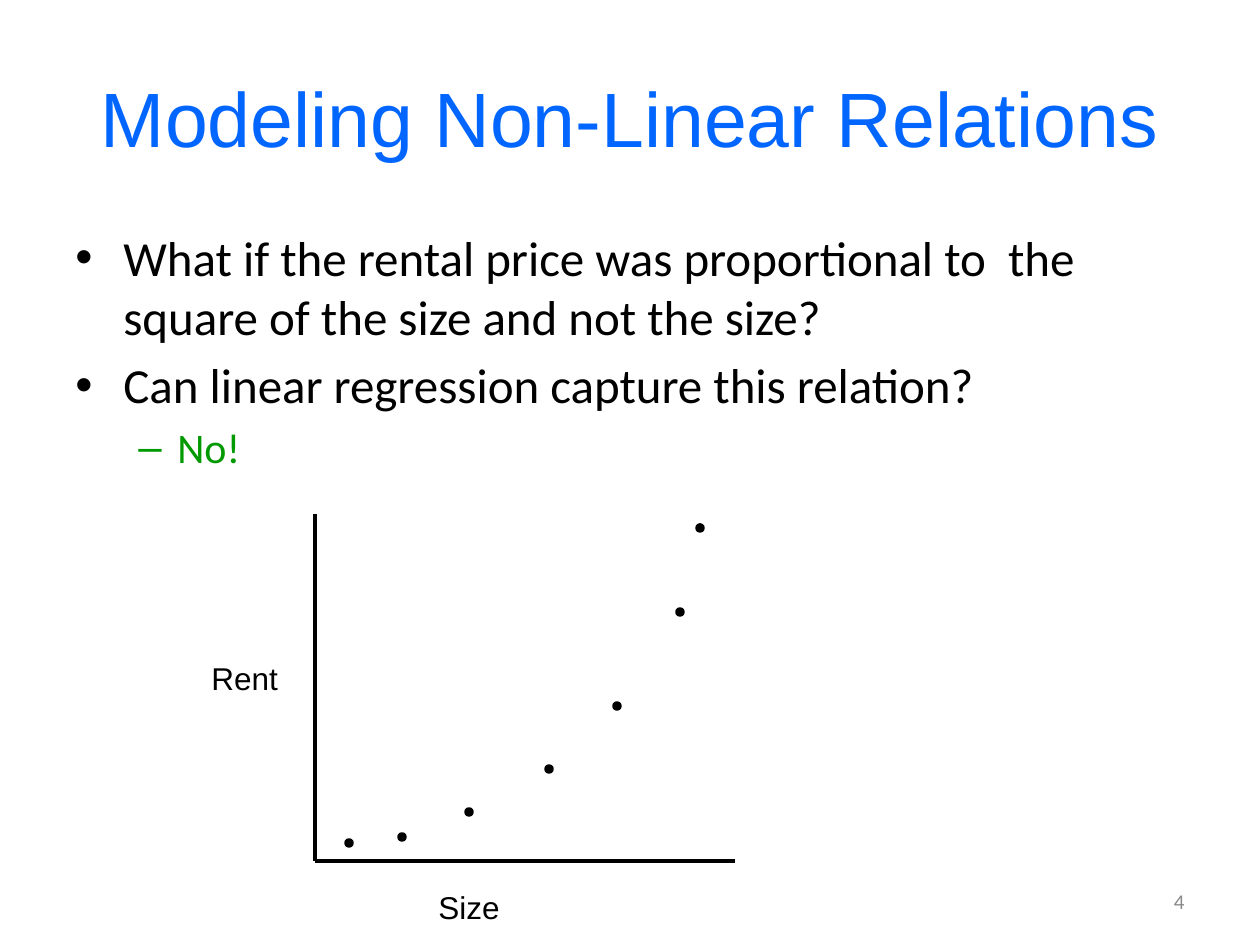
from lxml import etree
from pptx import Presentation
from pptx.dml.color import RGBColor
from pptx.enum.shapes import MSO_CONNECTOR, MSO_SHAPE
from pptx.enum.text import MSO_ANCHOR, PP_ALIGN
from pptx.oxml.ns import qn
from pptx.util import Pt

PX = 7257.14
STRAIGHT = MSO_CONNECTOR.STRAIGHT
DOT = MSO_SHAPE.FLOWCHART_CONNECTOR
TOP, MIDDLE = MSO_ANCHOR.TOP, MSO_ANCHOR.MIDDLE
LEFT, CENTER, RIGHT = PP_ALIGN.LEFT, PP_ALIGN.CENTER, PP_ALIGN.RIGHT
BLACK = "000000"
DOT_SIZE = 6

BULLETS = [
    ("What if the rental price was proportional to  the square of the size and not the size?",
     0, 28, BLACK),
    ("Can linear regression capture this relation?", 0, 28, BLACK),
    ("No!", 1, 24, "009900"),
]
BULLET_LEVELS = [("•", 48, 48), ("–", 102, 39)]
POINTS = [(31, 21), (84, 27), (151, 52), (231, 95), (299, 158), (362, 252), (382, 336)]


def emu(*lengths):
    """Turn px lengths into EMU."""
    return [round(length * PX) for length in lengths]


def color(code):
    """Turn a hex string into a colour."""
    return RGBColor.from_string(code)


def style(para, size, font, code):
    """Set the font of a whole paragraph."""
    para.font.size = Pt(size)
    para.font.name = font
    para.font.color.rgb = color(code)


def add_text(page, box, text, size, font, code, align=LEFT, anchor=TOP, wrap=True):
    """Place a one-paragraph text box."""
    frame = page.shapes.add_textbox(*emu(*box)).text_frame
    frame.word_wrap = wrap
    frame.vertical_anchor = anchor
    para = frame.paragraphs[0]
    para.text = text
    para.alignment = align
    style(para, size, font, code)


def add_bullets(page, box):
    """Place the bulleted list."""
    frame = page.shapes.add_textbox(*emu(*box)).text_frame
    frame.word_wrap = True
    for index, (text, level, size, code) in enumerate(BULLETS):
        para = frame.add_paragraph() if index else frame.paragraphs[0]
        para.text = text
        para.level = level
        if index:
            para.space_before = Pt(round(size * 0.2, 1))
        mark, margin, hang = BULLET_LEVELS[level]
        margin, hang = emu(margin, hang)
        properties = para._p.get_or_add_pPr()
        properties.set("marL", str(margin))
        properties.set("indent", str(-hang))
        etree.SubElement(properties, qn("a:buFont"), typeface="Arial")
        etree.SubElement(properties, qn("a:buChar"), char=mark)
        style(para, size, "Calibri", code)


def add_axis(page, start, end):
    """Draw one plain axis line."""
    axis = page.shapes.add_connector(STRAIGHT, *emu(*start, *end))
    axis.line.color.rgb = color(BLACK)
    axis.line.width = Pt(2)
    etree.SubElement(axis._element.spPr, qn("a:effectLst"))


def add_dot(page, left, top):
    """Draw one data point."""
    dot = page.shapes.add_shape(DOT, *emu(left, top, DOT_SIZE, DOT_SIZE))
    dot.shadow.inherit = False
    dot.fill.solid()
    dot.fill.fore_color.rgb = color(BLACK)
    dot.line.color.rgb = color(BLACK)
    dot.line.width = Pt(2)


def add_plot(page, box):
    """Draw the rent against size sketch."""
    left, top, width, height = box
    origin_x, origin_y = left + 116, top + height - 65
    add_axis(page, (origin_x, top), (origin_x, origin_y))
    add_axis(page, (origin_x, origin_y), (left + width, origin_y))
    for right, up in POINTS:
        add_dot(page, origin_x + right, origin_y - up)
    add_text(page, (left + 227, top + 368, 87, 50), "Size", 18, "Arial", BLACK, wrap=False)
    add_text(page, (left, top + 139, 92, 50), "Rent", 18, "Arial", BLACK, wrap=False)


def main():
    """Build and save the slide."""
    deck = Presentation()
    deck.slide_width, deck.slide_height = emu(1260, 945)
    page = deck.slides.add_slide(deck.slide_layouts[6])
    add_text(page, (63, 38, 1134, 158), "Modeling Non-Linear Relations",
             44, "Arial", "0066FF", CENTER, MIDDLE)
    add_bullets(page, (63, 221, 1134, 624))
    add_text(page, (903, 876, 294, 50), "4", 12, "Calibri", "898989", RIGHT, MIDDLE)
    add_plot(page, (199, 514, 536, 412))
    deck.save("out.pptx")


if __name__ == "__main__":
    main()
